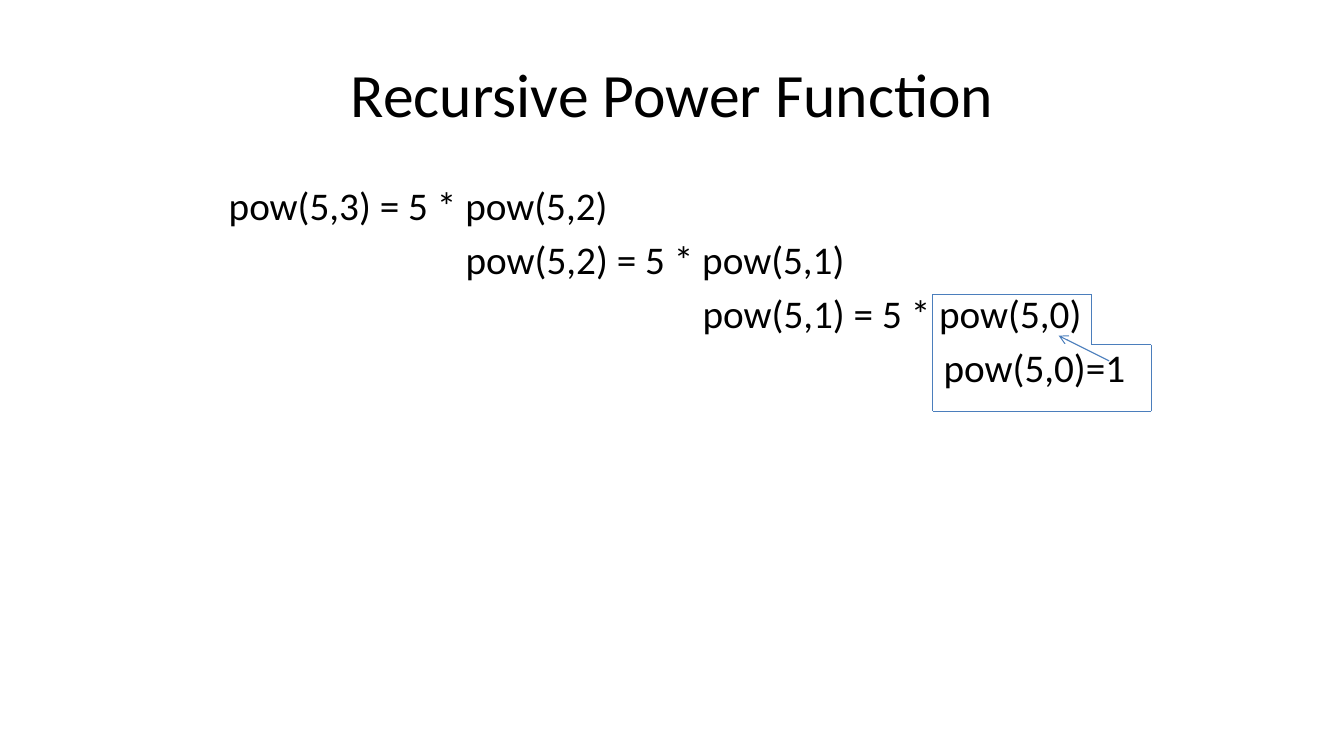
from lxml.etree import SubElement
from pptx import Presentation
from pptx.dml.color import RGBColor
from pptx.enum.shapes import MSO_CONNECTOR
from pptx.enum.text import MSO_ANCHOR, PP_ALIGN
from pptx.oxml.ns import qn
from pptx.util import Inches, Pt

TITLE = "Recursive Power Function"
CALLS = [
    ("pow(5,3) = 5 * pow(5,2)", 0),
    ("pow(5,2) = 5 * pow(5,1)", 2.35),
    ("pow(5,1) = 5 * pow(5,0)", 4.7),
    ("pow(5,0)=1", 7.09),
]
BASE_CASE_CORNERS = [
    (9.25, 2.92), (10.83, 2.92), (10.83, 3.42),
    (11.42, 3.42), (11.42, 4.08), (9.25, 4.08),
]
RETURN_ARROW = ((11, 3.58), (10.5, 3.33))
COLORS = {"text": "000000", "line": "4B7EBC"}
FONT = "Calibri"


def add_run(p, text, size):
    r = p.add_run()
    r.text = text
    r.font.name = FONT
    r.font.size = Pt(size)
    r.font.color.rgb = RGBColor.from_string(COLORS["text"])


def add_line(slide, start, end):
    line = slide.shapes.add_connector(
        MSO_CONNECTOR.STRAIGHT, *(Inches(v) for v in start + end))
    line.line.color.rgb = RGBColor.from_string(COLORS["line"])
    line.line.width = Pt(0.75)
    SubElement(line._element.spPr, qn("a:effectLst"))
    return line


def main():
    prs = Presentation()
    prs.slide_width, prs.slide_height = Inches(13.33), Inches(7.5)
    slide = prs.slides.add_slide(prs.slide_layouts[5])

    title = slide.shapes.title
    title.left, title.top = Inches(0.67), Inches(0.3)
    title.width, title.height = Inches(12), Inches(1.25)
    title.text_frame.vertical_anchor = MSO_ANCHOR.MIDDLE
    p = title.text_frame.paragraphs[0]
    p.alignment = PP_ALIGN.CENTER
    add_run(p, TITLE, 44)

    body = slide.shapes.add_textbox(
        Inches(2.17), Inches(1.75), Inches(9.25), Inches(4.95))
    tf = body.text_frame
    tf.word_wrap = True
    for i, (text, indent) in enumerate(CALLS):
        p = tf.add_paragraph() if i else tf.paragraphs[0]
        p.space_before = Pt(5)
        p._p.get_or_add_pPr().set("marL", str(Inches(indent)))
        add_run(p, text, 28)

    ends = BASE_CASE_CORNERS[1:] + BASE_CASE_CORNERS[:1]
    for start, end in zip(BASE_CASE_CORNERS, ends):
        add_line(slide, start, end)

    arrow = add_line(slide, *RETURN_ARROW)
    SubElement(arrow.line._get_or_add_ln(), qn("a:tailEnd"), type="arrow")

    prs.save("out.pptx")


if __name__ == "__main__":
    main()
